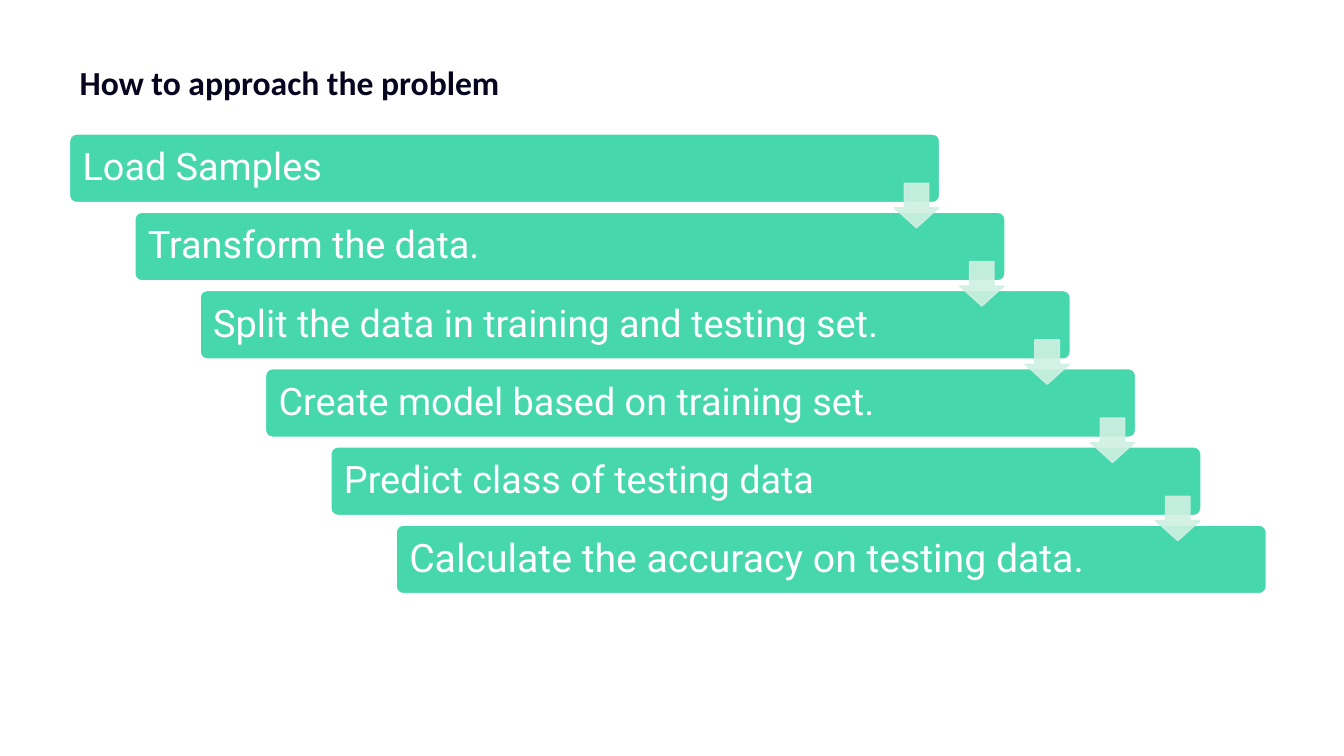
from collections import namedtuple

from lxml import etree
from pptx import Presentation
from pptx.dml.color import RGBColor
from pptx.enum.shapes import MSO_SHAPE as Preset
from pptx.enum.text import MSO_ANCHOR as Anchor, PP_ALIGN as Align
from pptx.oxml.ns import qn
from pptx.util import Inches, Pt

GREEN = RGBColor(0x47, 0xD7, 0xAC)
MINT = RGBColor(0xCF, 0xF0, 0xE3)
WHITE = RGBColor(0xFF, 0xFF, 0xFF)
NAVY = RGBColor(0x06, 0x04, 0x1F)

Box = namedtuple("Box", "left top width height")
TITLE_BOX = Box(0.69, 0.53, 7.87, 0.53)
STAIR_BOX = Box(0.69, 1.33, 11.87, 4.56)
BAR_WIDTH, BAR_HEIGHT = 8.63, 0.68
ARROW_SIZE = 0.44
ARROW_LEFT, ARROW_TOP = 8.18, 0.49  # measured from the corner of the bar above

STEPS = [
    ("Load Samples", 27),
    ("Transform the data.", 27),
    ("Split the data in training and testing set.", 27),
    ("Create model based on training set.", 27),
    ("Predict class of testing data", 27),
    ("Calculate the accuracy on testing data.", 28),
]


def set_all(target, values):
    for name, value in values.items():
        setattr(target, name, value)


def write_text(shape, text, anchor, margins, font, color, line_spacing=1.0):
    """Fill a shape with one left-aligned paragraph; margins run left, top, right, bottom."""
    frame = shape.text_frame
    sides = ("margin_left", "margin_top", "margin_right", "margin_bottom")
    set_all(frame, dict(zip(sides, map(Inches, margins))))
    set_all(frame, {"word_wrap": True, "vertical_anchor": anchor})
    para = frame.paragraphs[0]
    set_all(para, {"alignment": Align.LEFT, "line_spacing": line_spacing})
    span = para.add_run()
    span.text = text
    set_all(span.font, font)
    span.font.color.rgb = color


def add_preset(slide, preset, box, adjustments, fill, line):
    shape = slide.shapes.add_shape(preset, *map(Inches, box))
    shape.shadow.inherit = False
    for index, value in enumerate(adjustments):
        shape.adjustments[index] = value
    shape.fill.solid()
    shape.fill.fore_color.rgb = fill
    shape.line.color.rgb = line
    shape.line.width = Pt(1)
    return shape


def add_title(slide, box, text):
    title = slide.shapes.title
    sides = dict(zip(box._fields, map(Inches, box)))
    set_all(title, sides)
    font = {"name": "Calibri", "size": Pt(24), "bold": True}
    write_text(title, text, Anchor.TOP, (0.1, 0.08, 0.1, 0.05), font, NAVY)


def add_bar(slide, box, text, size):
    bar = add_preset(slide, Preset.ROUNDED_RECTANGLE, box, [0.1], GREEN, WHITE)
    font = {"name": "Roboto", "size": Pt(size)}
    write_text(bar, text, Anchor.MIDDLE, [0.11] * 4, font, WHITE, 0.9)


def add_arrow(slide, box):
    """Add a translucent arrow pointing down."""
    arrow = add_preset(slide, Preset.DOWN_ARROW, box, [0.45, 0.55], MINT, MINT)
    # The preset lists its shaft width first and its head length second.
    arrow.adjustments[0], arrow.adjustments[1] = 0.55, 0.45
    for color in arrow._element.spPr.iter(qn("a:srgbClr")):
        etree.SubElement(color, qn("a:alpha"), val="90000")


def add_staircase(slide, box, steps):
    """Spread the bars diagonally over the box, then join neighbours with arrows."""
    gaps = len(steps) - 1
    step_x = (box.width - BAR_WIDTH) / gaps
    step_y = (box.height - BAR_HEIGHT) / gaps
    bars = [
        Box(box.left + i * step_x, box.top + i * step_y, BAR_WIDTH, BAR_HEIGHT)
        for i in range(len(steps))
    ]
    for bar, (text, size) in zip(bars, steps):
        add_bar(slide, bar, text, size)
    for bar in bars[:-1]:
        add_arrow(slide, Box(bar.left + ARROW_LEFT, bar.top + ARROW_TOP,
                             ARROW_SIZE, ARROW_SIZE))


def main():
    deck = Presentation()
    deck.slide_width, deck.slide_height = Inches(13.33), Inches(7.5)
    slide = deck.slides.add_slide(deck.slide_layouts[5])
    add_title(slide, TITLE_BOX, "How to approach the problem")
    add_staircase(slide, STAIR_BOX, STEPS)
    deck.save("out.pptx")


if __name__ == "__main__":
    main()
